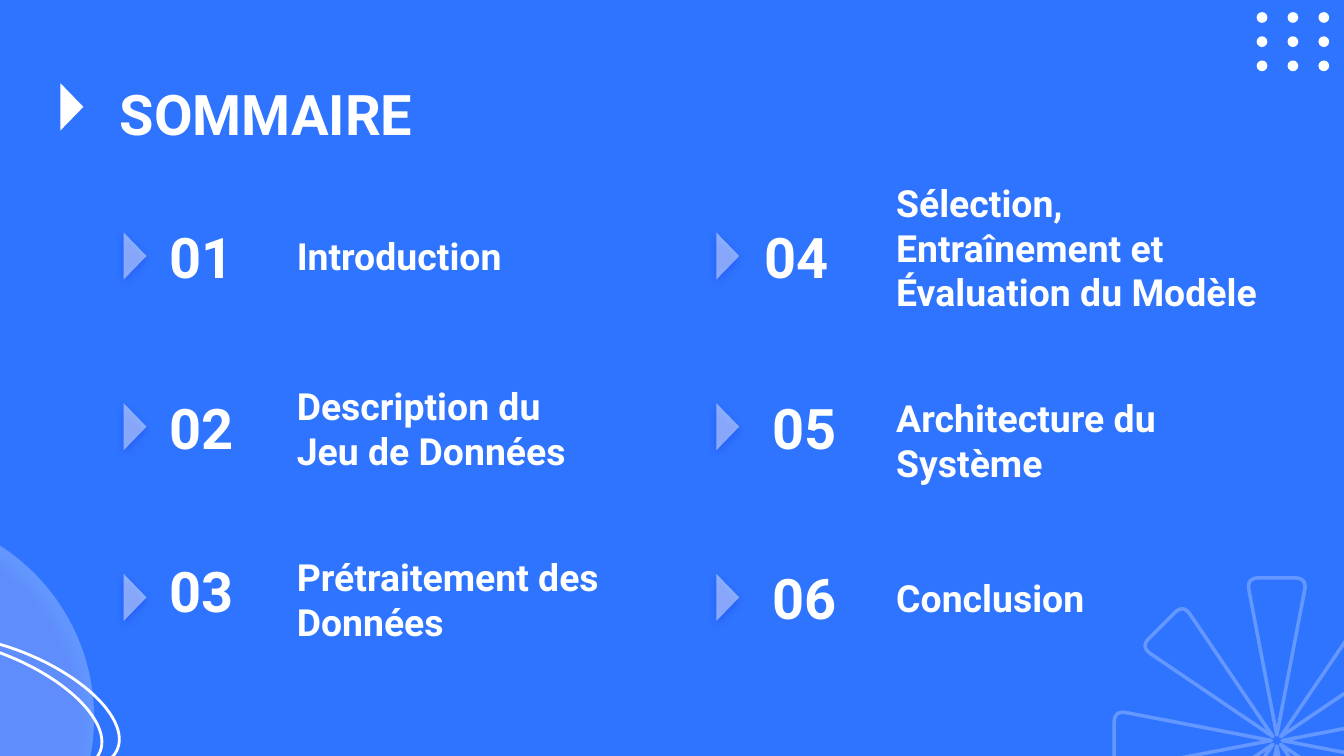
from itertools import product
from math import cos, radians, sin, tan

from lxml import etree
from pptx import Presentation
from pptx.dml.color import RGBColor
from pptx.enum.shapes import MSO_SHAPE
from pptx.enum.text import MSO_ANCHOR, MSO_AUTO_SIZE, PP_ALIGN
from pptx.oxml.ns import qn
from pptx.util import Emu, Pt

OVAL, TRIANGLE = MSO_SHAPE.OVAL, MSO_SHAPE.ISOSCELES_TRIANGLE
TOP, MIDDLE, BOTTOM = MSO_ANCHOR.TOP, MSO_ANCHOR.MIDDLE, MSO_ANCHOR.BOTTOM
LEFT = PP_ALIGN.LEFT
NO_FIT = MSO_AUTO_SIZE.NONE

SCALE = 9144  # 100 px to the inch
WIDTH = 1000
BLUE, SHADE, WHITE = "2F74FF", "0F27E6", "FFFFFF"
FONT = "Roboto"
ROW_TOPS = (164, 291, 418)

# Column: left, label offset, label width, then per row:
# number, number offset, number rise, label, label height
COLUMNS = [
    (83, 128, 252, [
        ("01", 33, 0, "Introduction", 53),
        ("02", 33, 0, "Description du Jeu de Données", 71),
        ("03", 33, 5, "Prétraitement des Données", 71),
    ]),
    (524, 133, 293, [
        ("04", 35, 0, "Sélection, Entraînement et Évaluation du Modèle", 80),
        ("05", 41, 0, "Architecture du Système", 80),
        ("06", 41, 0, "Conclusion", 53),
    ]),
]


def px(*lengths):
    return [Emu(round(length * SCALE)) for length in lengths]


def color(value):
    return RGBColor.from_string(value)


def set_all(target, values):
    for name, value in values.items():
        setattr(target, name, value)


def set_alpha(parent, percent):
    """Make the solid fill directly inside the given element transparent."""
    tint = parent.find(qn("a:solidFill")).find(qn("a:srgbClr"))
    etree.SubElement(tint, qn("a:alpha"), val=str(percent * 1000))


def add_shadow(shape, alpha, blur, distance, angle):
    effects = shape.element.spPr.find(qn("a:effectLst"))
    shadow = etree.SubElement(
        effects, qn("a:outerShdw"), blurRad=str(Pt(blur)), dist=str(Pt(distance)),
        dir=str(angle * 60000), algn="bl", rotWithShape="0")
    tint = etree.SubElement(shadow, qn("a:srgbClr"), val=SHADE)
    etree.SubElement(tint, qn("a:alpha"), val=str(alpha * 1000))


def paint(shape, fill=None, alpha=100, line=None):
    """Give a shape a fill, or a white outline of the given width."""
    if fill:
        shape.fill.solid()
        shape.fill.fore_color.rgb = color(fill)
        if alpha < 100:
            set_alpha(shape.element.spPr, alpha)
    else:
        shape.fill.background()
    if line:
        shape.line.color.rgb = color(WHITE)
        shape.line.width = Pt(line)
        if alpha < 100:
            set_alpha(shape.element.spPr.find(qn("a:ln")), alpha)
    else:
        shape.line.fill.background()
    shape.shadow.inherit = False


def add_shape(page, kind, box, rotation=0, **look):
    shape = page.shapes.add_shape(kind, *px(*box))
    shape.rotation = rotation
    paint(shape, **look)
    return shape


def write(shape, text, size, anchor):
    frame = shape.text_frame
    inset = px(10)[0]
    set_all(frame, {
        "word_wrap": True, "auto_size": NO_FIT, "vertical_anchor": anchor,
        "margin_left": inset, "margin_right": inset,
        "margin_top": inset, "margin_bottom": inset})
    para = frame.paragraphs[0]
    para.alignment = LEFT
    span = para.add_run()
    span.text = text
    set_all(span.font, {"name": FONT, "size": Pt(size), "bold": True})
    span.font.color.rgb = color(WHITE)


def add_text(page, box, text, size, anchor):
    write(page.shapes.add_textbox(*px(*box)), text, size, anchor)


def add_corner_disc(page, left, top):
    disc = add_shape(page, OVAL, (left, top, 304, 304), 229, fill=WHITE, alpha=25)
    add_shadow(disc, 50, 4.5, 6.8, 122)


def add_dot_grid(page, left, top):
    for row, column in product(range(3), repeat=2):
        box = (left + 23 * column, top + 18 * row, 8, 8)
        add_shape(page, OVAL, box, fill=WHITE)


def add_rings(page, left, top):
    for shift, rise in ((0, 0), (13, 2)):
        add_shape(page, OVAL, (left + shift, top - rise, 181, 81), 21.9, line=1.5)


def petal_outline(length):
    """Points of a petal along the y axis, pointed near 0, 0 and rounded at the end."""
    slope = tan(radians(10.5))
    half, bend = length * slope, 9
    corners = ((half - bend * slope, length - bend), (half, length),
               (half - bend, length))
    curve = []
    for step in range(9):
        t = step / 8
        weights = ((1 - t) ** 2, 2 * t * (1 - t), t ** 2)
        curve.append(tuple(sum(w * point[axis] for w, point in zip(weights, corners))
                           for axis in (0, 1)))
    return [(0, 4)] + curve + [(-x, y) for x, y in reversed(curve)]


def add_flower(page, center_x, center_y, length):
    builder = page.shapes.build_freeform(*px(center_x, center_y))
    for petal in range(8):
        turn = radians(45 * petal)
        points = [px(center_x + x * cos(turn) + y * sin(turn),
                     center_y + x * sin(turn) - y * cos(turn))
                  for x, y in petal_outline(length)]
        builder.move_to(*points[0])
        builder.add_line_segments(points[1:], close=True)
    paint(builder.convert_to_shape(), alpha=25, line=1.9)


def add_heading(page, left, top):
    title = page.shapes.title
    names = ("left", "top", "width", "height")
    set_all(title, dict(zip(names, px(left, top, 843, 63))))
    write(title, "SOMMAIRE", 30, TOP)
    add_shape(page, TRIANGLE, (left - 43, top + 22, 35, 17), 90, fill=WHITE)


def add_entry(page, left, top, label_offset, label_width, entry):
    number, number_offset, rise, label, label_height = entry
    marker = add_shape(page, TRIANGLE, (left, top + 18, 35, 17), 90,
                       fill=WHITE, alpha=45)
    add_shadow(marker, 66, 4.5, 1.5, 90)
    number_box = (left + number_offset, top - 2 * rise, 80, 53 + 2 * rise)
    add_text(page, number_box, number, 30, MIDDLE)
    label_box = (left + label_offset, top, label_width, label_height)
    add_text(page, label_box, label, 20, BOTTOM)


def main():
    deck = Presentation()
    deck.slide_width = px(WIDTH)[0]
    deck.slide_height = Emu(deck.slide_width * 9 // 16)
    page = deck.slides.add_slide(deck.slide_layouts[5])
    page.background.fill.solid()
    page.background.fill.fore_color.rgb = color(BLUE)

    add_corner_disc(page, -234, 382)
    add_dot_grid(page, 935, 9)
    add_flower(page, 950, 551, 121)
    add_rings(page, -100, 485)
    add_heading(page, 79, 49)
    for left, label_offset, label_width, entries in COLUMNS:
        for top, entry in zip(ROW_TOPS, entries):
            add_entry(page, left, top, label_offset, label_width, entry)
    deck.save("out.pptx")


if __name__ == "__main__":
    main()
